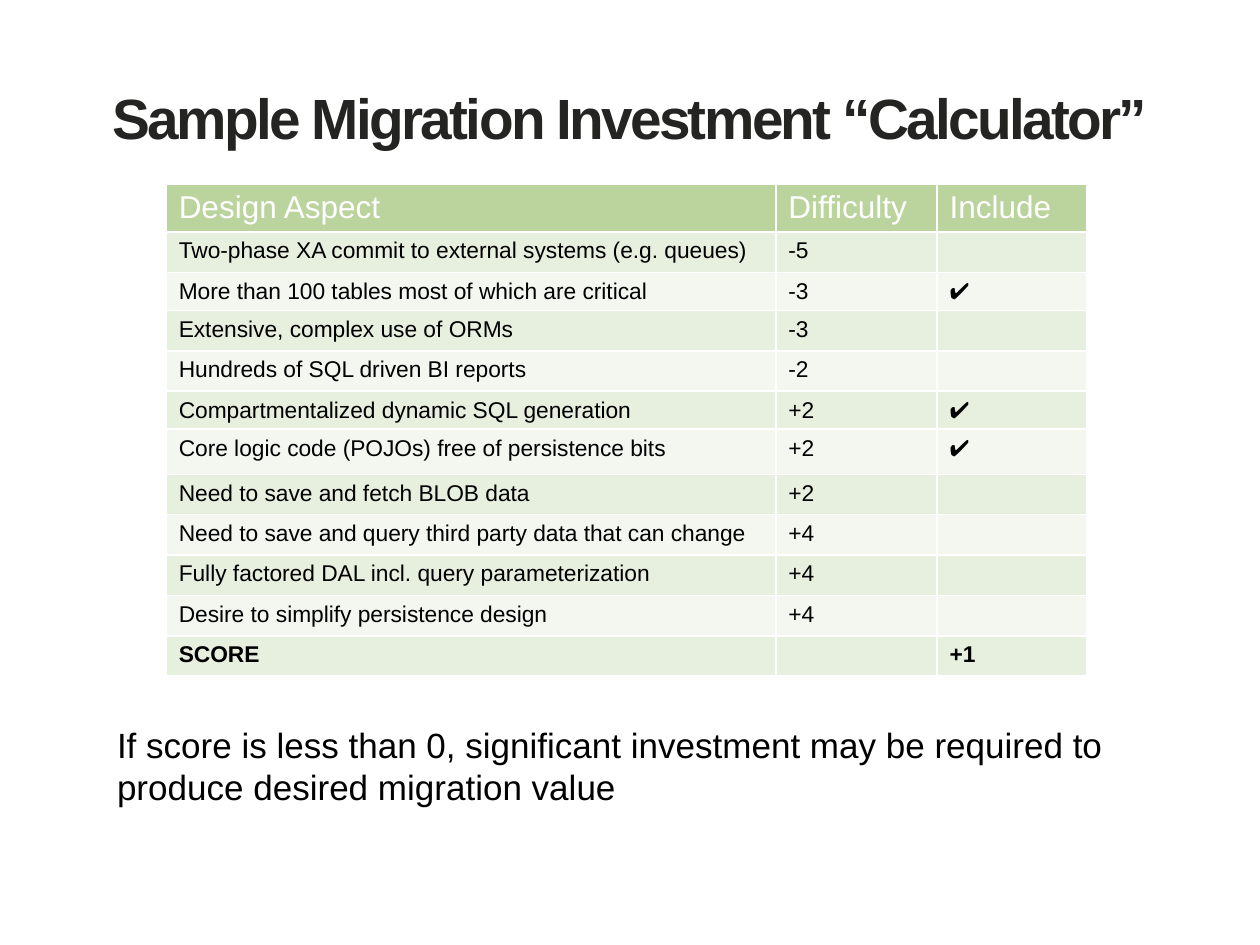
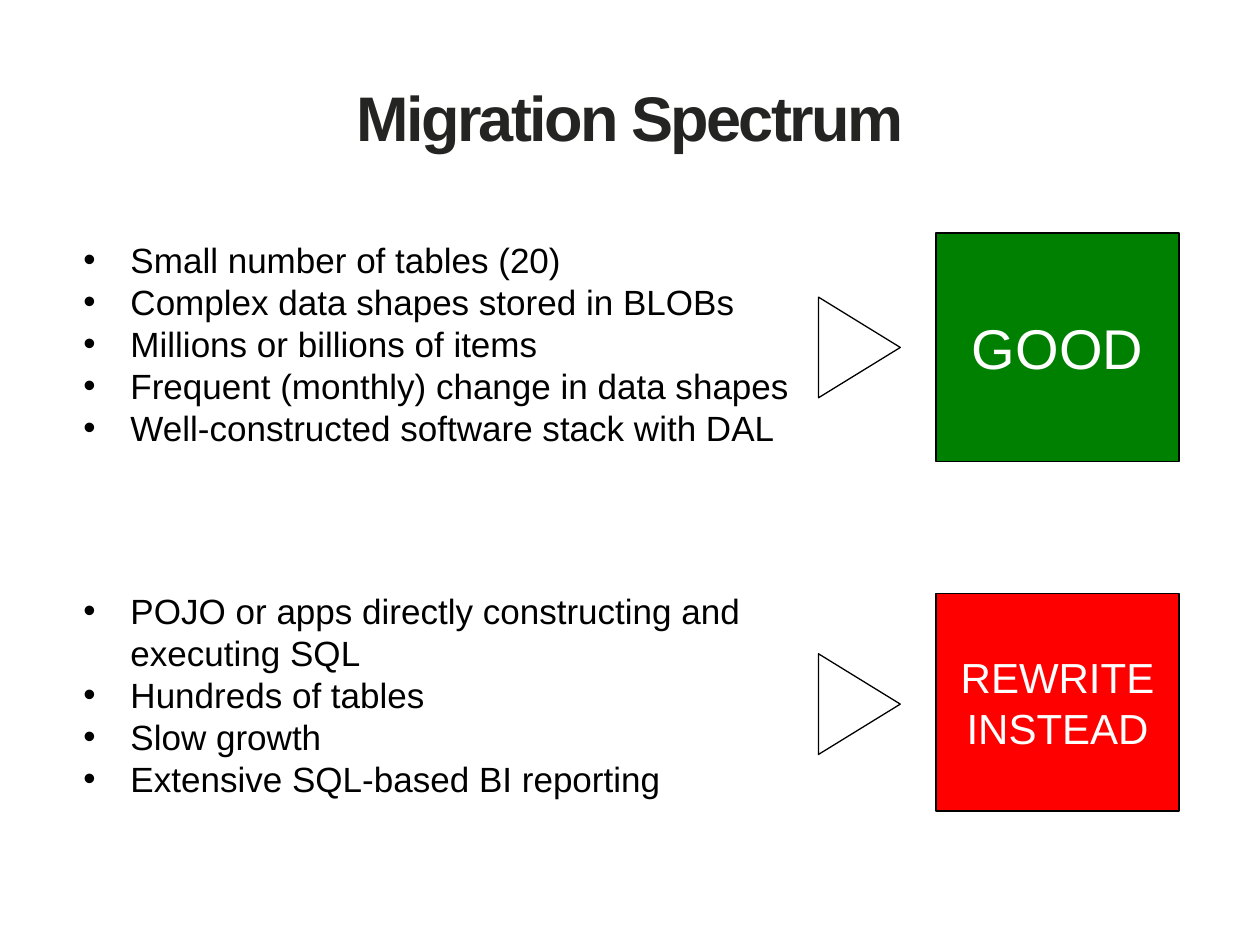
import lxml.etree
import pptx
import pptx.dml.color
import pptx.enum.shapes
import pptx.enum.text
import pptx.oxml.ns
import pptx.util

Cm = pptx.util.Cm
Pt = pptx.util.Pt
RGBColor = pptx.dml.color.RGBColor
Align = pptx.enum.text.PP_ALIGN
Anchor = pptx.enum.text.MSO_ANCHOR
Shape = pptx.enum.shapes.MSO_SHAPE

BLACK = RGBColor(0x00, 0x00, 0x00)
WHITE = RGBColor(0xFF, 0xFF, 0xFF)
CHARCOAL = RGBColor(0x24, 0x24, 0x23)
HEADER_GREEN = RGBColor(0xBB, 0xD4, 0x9E)
BAND_DARK = RGBColor(0xE7, 0xEF, 0xDF)
BAND_LIGHT = RGBColor(0xF3, 0xF7, 0xF0)
GOOD_GREEN = RGBColor(0x00, 0x80, 0x00)
REWRITE_RED = RGBColor(0xFF, 0x00, 0x00)

TITLE_ONLY, TWO_CONTENT = 5, 3
CHECK = "✔"

ASPECTS = [
    ("Design Aspect", "Difficulty", "Include"),
    ("Two-phase XA commit to external systems (e.g. queues)", "-5", ""),
    ("More than 100 tables most of which are critical", "-3", CHECK),
    ("Extensive, complex use of ORMs", "-3", ""),
    ("Hundreds of SQL driven BI reports", "-2", ""),
    ("Compartmentalized dynamic SQL generation", "+2", CHECK),
    ("Core logic code (POJOs) free of persistence bits", "+2", CHECK),
    ("Need to save and fetch BLOB data", "+2", ""),
    ("Need to save and query third party data that can change", "+4", ""),
    ("Fully factored DAL incl. query parameterization", "+4", ""),
    ("Desire to simplify persistence design", "+4", ""),
    ("SCORE", "", "+1"),
]
TALL_ROW = 6

SPECTRUM = [
    {
        "traits": [
            "Small number of tables (20)",
            "Complex data shapes stored in BLOBs",
            "Millions or billions of items",
            "Frequent (monthly) change in data shapes",
            "Well-constructed software stack with DAL",
        ],
        "traits_top": 4.8,
        "arrow_top": 5.99,
        "verdict": ["GOOD"],
        "verdict_size": 32,
        "verdict_fill": GOOD_GREEN,
        "verdict_top": 4.7,
        "verdict_height": 4.6,
    },
    {
        "traits": [
            "POJO or apps directly constructing and executing SQL",
            "Hundreds of tables",
            "Slow growth",
            "Extensive SQL-based BI reporting",
        ],
        "traits_top": 11.89,
        "arrow_top": 13.18,
        "verdict": ["REWRITE", "INSTEAD"],
        "verdict_size": 24,
        "verdict_fill": REWRITE_RED,
        "verdict_top": 11.96,
        "verdict_height": 4.39,
    },
]


def apply(target, values):
    for name, value in values.items():
        setattr(target, name, value)


class Deck:
    font = "Arial"
    text_size = 20
    no_margins = {
        "margin_left": 0,
        "margin_top": 0,
        "margin_right": 0,
        "margin_bottom": 0,
        "word_wrap": True,
        "auto_size": pptx.enum.text.MSO_AUTO_SIZE.NONE,
        "vertical_anchor": Anchor.TOP,
    }
    tight = {"space_before": Pt(0), "space_after": Pt(0), "line_spacing": 1.0}

    def __init__(self):
        self.presentation = pptx.Presentation()
        apply(self.presentation, {"slide_width": Cm(25.4), "slide_height": Cm(19.05)})
        self.slide = None

    def place(self, part, left, top, width, height):
        apply(part, {"left": Cm(left), "top": Cm(top),
                     "width": Cm(width), "height": Cm(height)})

    def set_lines(self, frame, lines, size, color=BLACK, bold=False, align=Align.LEFT):
        for number, line in enumerate(lines):
            paragraph = frame.add_paragraph() if number else frame.paragraphs[0]
            apply(paragraph, {"alignment": align, **self.tight})
            if not line:
                lxml.etree.SubElement(paragraph._p, pptx.oxml.ns.qn("a:endParaRPr"),
                                      sz=str(int(size * 100)))
                continue
            run = paragraph.add_run()
            run.text = line
            apply(run.font, {"name": self.font, "size": Pt(size), "bold": bold})
            run.font.color.rgb = color

    def new_slide(self, layout, heading, size):
        self.slide = self.presentation.slides.add_slide(
            self.presentation.slide_layouts[layout])
        title = self.slide.shapes.title
        self.place(title, 1.27, 0.76, 22.86, 3.18)
        apply(title.text_frame, {"vertical_anchor": Anchor.MIDDLE, "word_wrap": True,
                                 "auto_size": pptx.enum.text.MSO_AUTO_SIZE.NONE})
        self.set_lines(title.text_frame, [heading], size, CHARCOAL, True, Align.CENTER)
        title.text_frame.paragraphs[0].runs[0].font._element.set("spc", "-150")

    def note(self, text, *box):
        note = self.slide.shapes.add_textbox(*map(Cm, box))
        apply(note.text_frame, self.no_margins)
        self.set_lines(note.text_frame, [text], self.text_size)

    def bullets(self, index, lines, *box):
        body = self.slide.placeholders[index]
        self.place(body, *box)
        apply(body.text_frame, self.no_margins)
        self.set_lines(body.text_frame, lines, self.text_size)
        for paragraph in body.text_frame.paragraphs:
            properties = paragraph._p.get_or_add_pPr()
            properties.set("marL", str(Cm(0.95)))
            properties.set("indent", str(-Cm(0.95)))

    def shape(self, kind, fill, *box):
        shape = self.slide.shapes.add_shape(kind, *map(Cm, box))
        shape.shadow.inherit = False
        shape.fill.solid()
        shape.fill.fore_color.rgb = fill
        shape.line.color.rgb = BLACK
        shape.line.width = Pt(0.75)
        return shape

    def arrow(self, *box):
        arrow = self.shape(Shape.RIGHT_ARROW, WHITE, *box)
        arrow.adjustments[0] = 0.5
        arrow.adjustments[1] = 1

    def verdict(self, lines, size, fill, *box):
        verdict = self.shape(Shape.RECTANGLE, fill, *box)
        verdict.text_frame.vertical_anchor = Anchor.MIDDLE
        self.set_lines(verdict.text_frame, lines, size, WHITE, align=Align.CENTER)

    def table(self, rows, left, top, widths, row_height, tall_rows):
        heights = [tall_rows.get(number, row_height) for number in range(len(rows))]
        table = self.slide.shapes.add_table(
            len(rows), len(widths), Cm(left), Cm(top),
            Cm(sum(widths)), Cm(sum(heights))).table
        for column, width in zip(table.columns, widths):
            column.width = Cm(width)
        for number, values in enumerate(rows):
            table.rows[number].height = Cm(heights[number])
            header = number == 0
            band = BAND_DARK if number % 2 else BAND_LIGHT
            for column, value in enumerate(values):
                cell = table.cell(number, column)
                cell.fill.solid()
                cell.fill.fore_color.rgb = HEADER_GREEN if header else band
                self.set_lines(cell.text_frame, [value], 18 if header else 13,
                               WHITE if header else BLACK, number == len(rows) - 1)


def main():
    deck = Deck()

    deck.new_slide(TITLE_ONLY, "Sample Migration Investment “Calculator”", 32.4)
    deck.table(ASPECTS, 3.35, 3.71, [12.29, 3.25, 3.02], 0.64, {TALL_ROW: 0.91})
    deck.note("If score is less than 0, significant investment may be required to "
              "produce desired migration value", 2.36, 14.58, 20.32, 1.7)

    deck.new_slide(TWO_CONTENT, "Migration Spectrum", 36)
    for index, end in enumerate(SPECTRUM, start=1):
        deck.bullets(index, end["traits"], 1.68, end["traits_top"], 14.83, 4.27)
        deck.arrow(16.5, end["arrow_top"], 1.65, 2.03)
        deck.verdict(end["verdict"], end["verdict_size"], end["verdict_fill"],
                     18.87, end["verdict_top"], 4.9, end["verdict_height"])

    deck.presentation.save("out.pptx")


if __name__ == "__main__":
    main()
